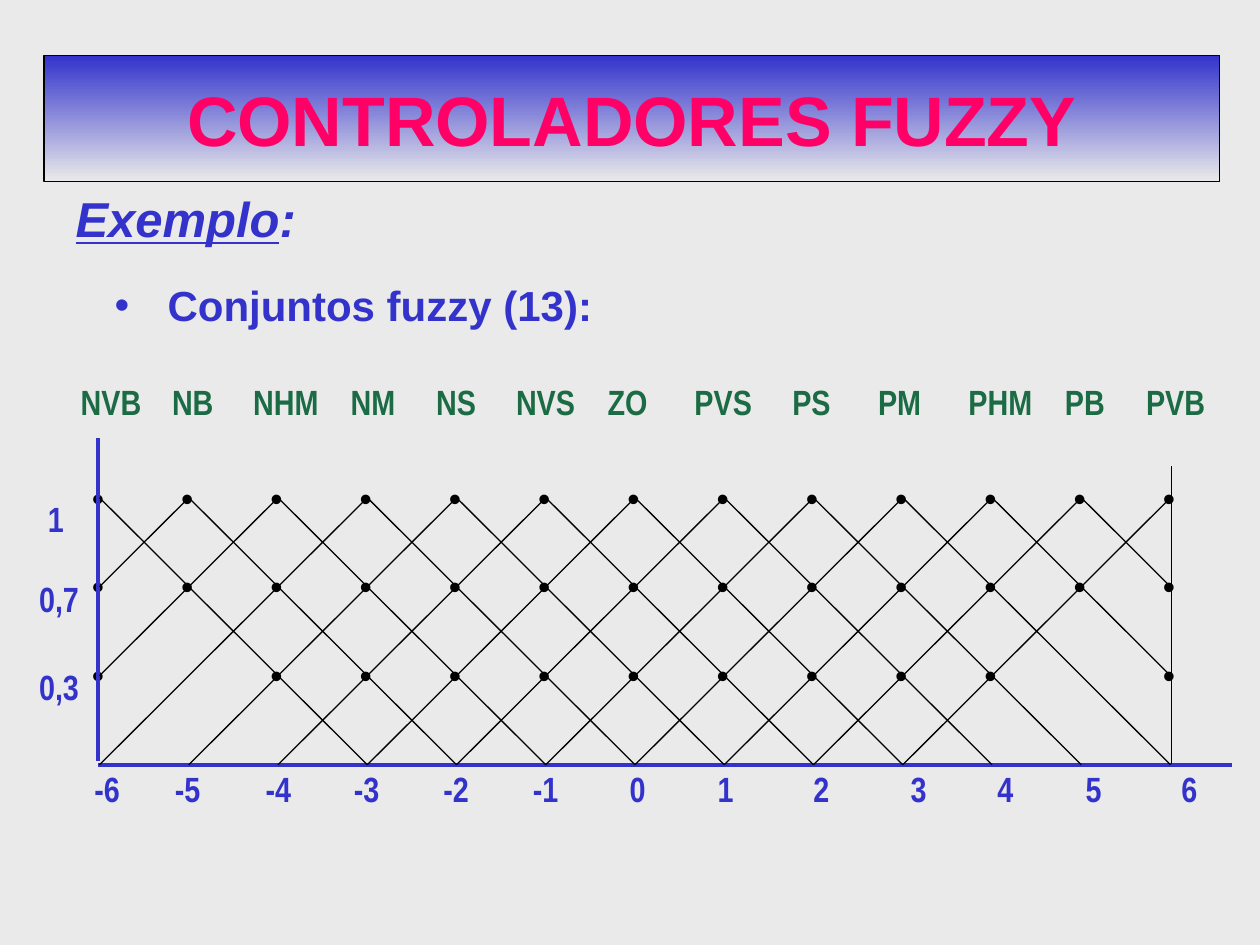
from dataclasses import dataclass

from lxml import etree
from pptx import Presentation
from pptx.dml.color import RGBColor
from pptx.enum.shapes import MSO_CONNECTOR
from pptx.enum.text import MSO_ANCHOR, MSO_AUTO_SIZE, PP_ALIGN
from pptx.oxml.ns import qn
from pptx.util import Inches, Pt

STRAIGHT = MSO_CONNECTOR.STRAIGHT
MIDDLE, TOP = MSO_ANCHOR.MIDDLE, MSO_ANCHOR.TOP
CENTER, LEFT = PP_ALIGN.CENTER, PP_ALIGN.LEFT
NO_AUTOFIT = MSO_AUTO_SIZE.NONE


@dataclass(frozen=True)
class Theme:
    background: RGBColor = RGBColor(0xEA, 0xEA, 0xEA)
    blue: RGBColor = RGBColor(0x33, 0x33, 0xCC)
    pink: RGBColor = RGBColor(0xFF, 0x00, 0x66)
    green: RGBColor = RGBColor(0x1B, 0x6B, 0x45)
    black: RGBColor = RGBColor(0, 0, 0)
    font: str = "Arial"
    narrow: str = "Arial Narrow"
    title_size: int = 40
    heading_size: int = 28
    item_size: int = 24
    label_size: int = 20
    axis_width: float = 2.5
    thin_width: float = 0.75


THEME = Theme()

# Lattice of triangular sets: each side spans three columns
SET_COUNT = 13
SPAN = 3
FIRST_X, LAST_X = 0.79, 9.29
STEP = (LAST_X - FIRST_X) / (SET_COUNT - 1)
PEAK_Y, BASE_Y = 3.95, 6.07
RISE = (BASE_Y - PEAK_Y) / SPAN

# Every label with the x of its centre
SETS = [("NVB", 0.87), ("NB", 1.53), ("NHM", 2.27), ("NM", 2.96), ("NS", 3.62),
        ("NVS", 4.33), ("ZO", 4.98), ("PVS", 5.74), ("PS", 6.44), ("PM", 7.14),
        ("PHM", 7.94), ("PB", 8.61), ("PVB", 9.33)]
TICKS = [("-6", 0.84), ("-5", 1.49), ("-4", 2.21), ("-3", 2.91), ("-2", 3.62),
         ("-1", 4.33), ("0", 5.06), ("1", 5.76), ("2", 6.52), ("3", 7.29),
         ("4", 7.98), ("5", 8.68), ("6", 9.44)]
# Membership grades: text, line spacing, indent
GRADES = [("1", 1.9, 0.07), ("0,7", 1.9, 0), ("0,3", 2.1, 0)]


def add_run(paragraph, text, size, color, name=THEME.font, bold=True,
            italic=False, underline=False):
    run = paragraph.add_run()
    run.text = text
    font = run.font
    font.name, font.size, font.color.rgb = name, Pt(size), color
    font.bold, font.italic, font.underline = bold, italic, underline


def set_indent(paragraph, margin, first_line=0):
    properties = paragraph._p.get_or_add_pPr()
    properties.set("marL", str(Inches(margin)))
    properties.set("indent", str(Inches(first_line)))


def set_bullet(paragraph, char=None, color=THEME.blue):
    properties = paragraph._p.get_or_add_pPr()
    if char is None:
        etree.SubElement(properties, qn("a:buNone"))
        return
    bullet_color = etree.SubElement(properties, qn("a:buClr"))
    etree.SubElement(bullet_color, qn("a:srgbClr"), val=str(color))
    etree.SubElement(properties, qn("a:buFont"), typeface=THEME.font)
    etree.SubElement(properties, qn("a:buChar"), char=char)


def place(shape, left, top, width, height):
    shape.left, shape.top = Inches(left), Inches(top)
    shape.width, shape.height = Inches(width), Inches(height)


def add_text_frame(slide, left, top, width, height):
    frame = slide.shapes.add_textbox(Inches(left), Inches(top),
                                     Inches(width), Inches(height)).text_frame
    frame.word_wrap = True
    frame.margin_left = frame.margin_right = 0
    frame.margin_top = frame.margin_bottom = 0
    return frame


def add_label_row(slide, labels, left, top, width, height, color):
    """One line of text: first label at the left edge, the rest on centred tabs."""
    paragraph = add_text_frame(slide, left, top, width, height).paragraphs[0]
    tabs = etree.SubElement(paragraph._p.get_or_add_pPr(), qn("a:tabLst"))
    for _, center in labels[1:]:
        etree.SubElement(tabs, qn("a:tab"), pos=str(Inches(center - left)), algn="ctr")
    add_run(paragraph, "\t".join(text for text, _ in labels),
            THEME.label_size, color, THEME.narrow)


def add_line(slide, x1, y1, x2, y2, color=THEME.black, width=THEME.thin_width):
    line = slide.shapes.add_connector(STRAIGHT, Inches(x1), Inches(y1),
                                      Inches(x2), Inches(y2))
    line.line.color.rgb, line.line.width = color, Pt(width)
    etree.SubElement(line._element.spPr, qn("a:effectLst"))


def add_title(slide):
    title = slide.shapes.title
    place(title, 0.35, 0.44, 9.33, 1)
    title.fill.gradient()
    title.fill.gradient_angle = 270
    for stop, position, color in zip(title.fill.gradient_stops, (0, 1),
                                     (THEME.blue, THEME.background)):
        stop.position, stop.color.rgb = position, color
    title.line.color.rgb, title.line.width = THEME.black, Pt(THEME.thin_width)
    frame = title.text_frame
    frame.vertical_anchor, frame.auto_size = MIDDLE, NO_AUTOFIT
    paragraph = frame.paragraphs[0]
    paragraph.alignment = CENTER
    add_run(paragraph, "CONTROLADORES FUZZY", THEME.title_size, THEME.pink)


def add_body(slide):
    body = slide.placeholders[1]
    place(body, 0.5, 1.5, 8.83, 1.2)
    frame = body.text_frame
    frame.vertical_anchor, frame.auto_size = TOP, NO_AUTOFIT

    heading = frame.paragraphs[0]
    set_indent(heading, 0.1, -0.1)
    set_bullet(heading)
    heading.line_spacing, heading.space_before = 0.9, Pt(0)
    add_run(heading, "Exemplo", THEME.heading_size, THEME.blue,
            italic=True, underline=True)
    add_run(heading, ":", THEME.heading_size, THEME.blue, italic=True)

    item = frame.add_paragraph()
    item.level = 1
    set_indent(item, 0.73, -0.42)
    set_bullet(item, "•")
    item.line_spacing, item.space_before = 1.2, Pt(6)
    add_run(item, "Conjuntos fuzzy (13):", THEME.item_size, THEME.blue)
    for paragraph in (heading, item):
        paragraph.alignment, paragraph.space_after = LEFT, Pt(6)


def add_dots(slide):
    columns = range(SET_COUNT)
    inner = [c for c in columns if c not in (1, SET_COUNT - 2)]
    for top, filled in ((3.78, columns), (4.48, columns), (5.19, inner)):
        for column in filled:
            frame = add_text_frame(slide, 0.73 + column * STEP, top, 0.43, 0.26)
            add_run(frame.paragraphs[0], "•", THEME.label_size, THEME.black, bold=False)


def add_axes(slide):
    add_line(slide, 0.78, 3.48, 0.78, 6.04, THEME.blue, THEME.axis_width)
    add_line(slide, 0.78, BASE_Y, 9.78, BASE_Y, THEME.blue, THEME.axis_width)
    add_line(slide, 9.3, 3.7, 9.3, 6.06)


def add_grades(slide):
    frame = add_text_frame(slide, 0.31, 3.65, 0.58, 1.82)
    for index, (text, spacing, indent) in enumerate(GRADES):
        paragraph = frame.add_paragraph() if index else frame.paragraphs[0]
        set_indent(paragraph, indent)
        paragraph.line_spacing = spacing
        add_run(paragraph, text, THEME.label_size, THEME.blue, THEME.narrow)


def add_triangles(slide):
    for column in range(SET_COUNT):
        peak_x = FIRST_X + column * STEP
        # Sides are cut off at the edges of the universe
        for direction, room in ((-1, column), (1, SET_COUNT - 1 - column)):
            steps = min(SPAN, room)
            if steps:
                add_line(slide, peak_x, PEAK_Y, peak_x + direction * steps * STEP,
                         PEAK_Y + steps * RISE)


def main():
    prs = Presentation()
    prs.slide_width, prs.slide_height = Inches(10), Inches(7.5)
    slide = prs.slides.add_slide(prs.slide_layouts[1])
    slide.background.fill.solid()
    slide.background.fill.fore_color.rgb = THEME.background

    # Heading area
    add_title(slide)
    add_body(slide)

    # Membership diagram
    add_label_row(slide, TICKS, 0.75, 6.09, 9.2, 0.82, THEME.blue)
    add_label_row(slide, SETS, 0.64, 3.02, 9.3, 0.52, THEME.green)
    add_dots(slide)
    add_axes(slide)
    add_grades(slide)
    add_triangles(slide)
    prs.save("out.pptx")


if __name__ == "__main__":
    main()
